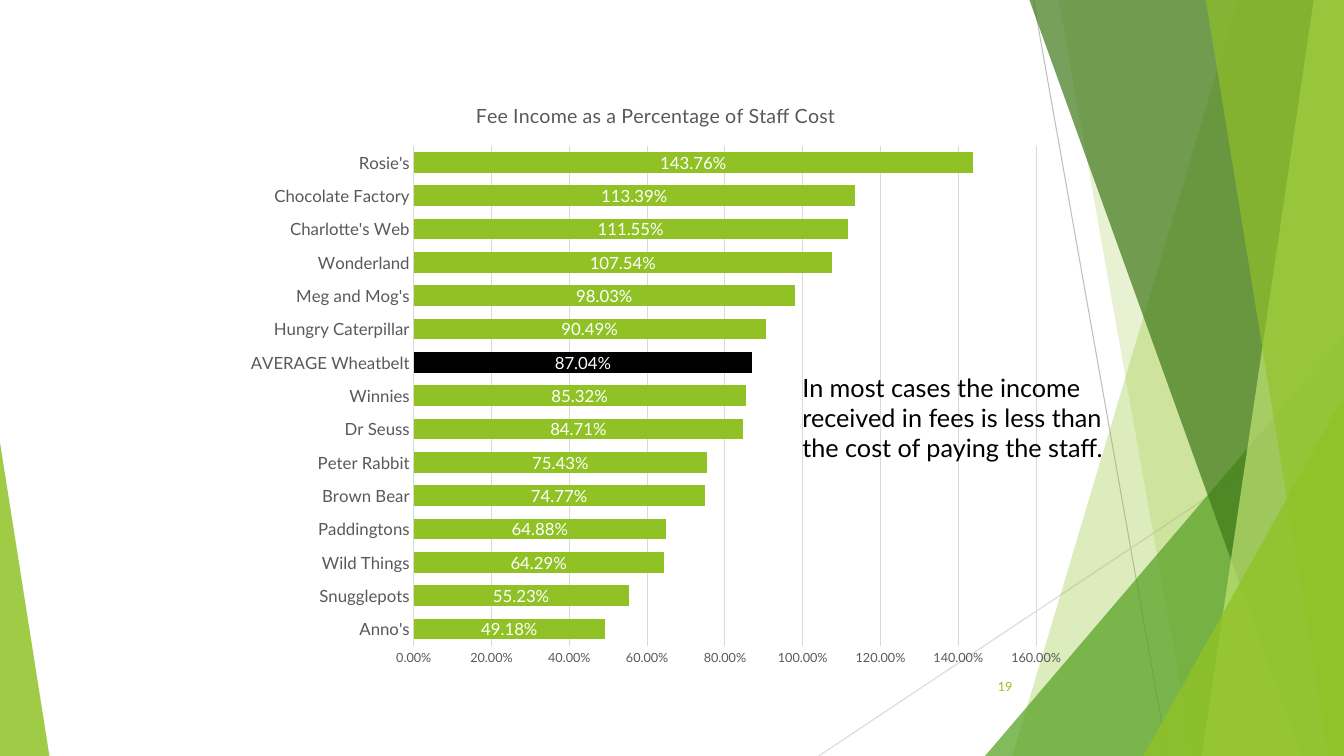
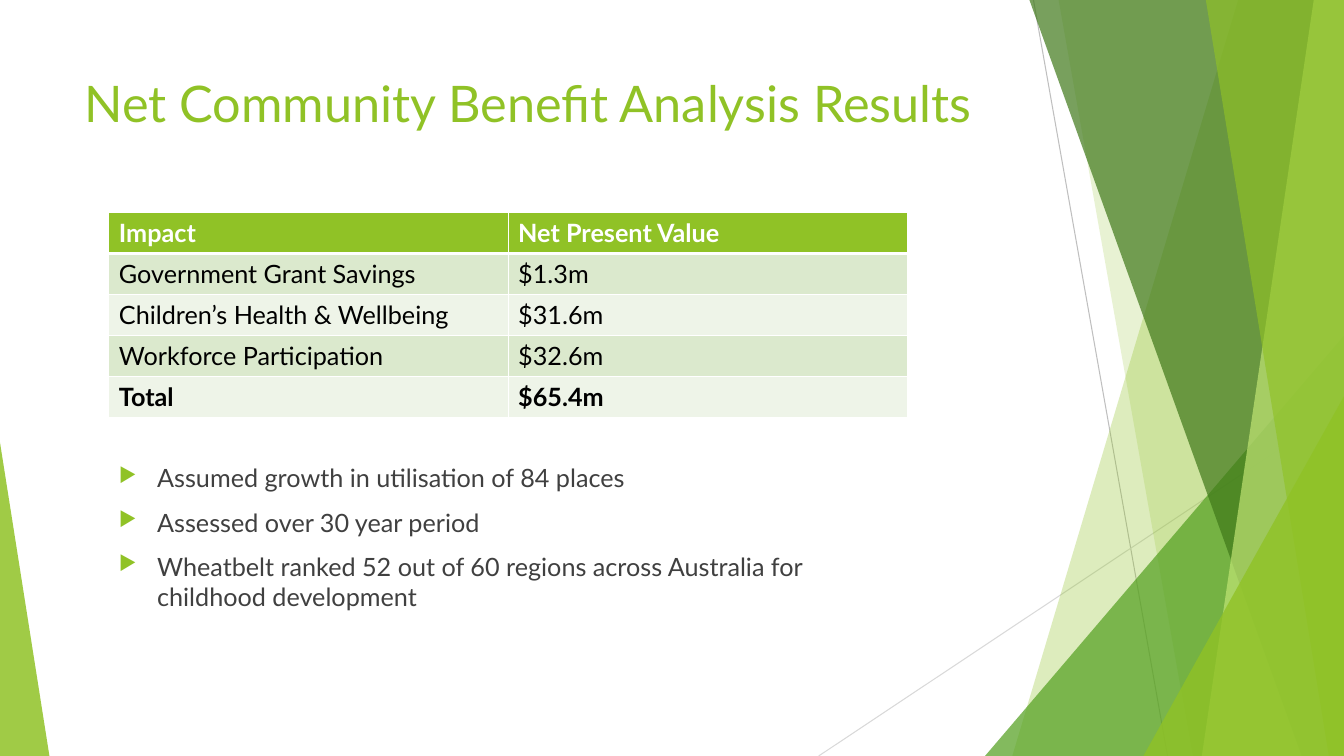
from lxml.etree import SubElement
from pptx import Presentation
from pptx.chart.data import CategoryChartData
from pptx.dml.color import RGBColor
from pptx.enum.chart import XL_CHART_TYPE, XL_LABEL_POSITION, XL_TICK_MARK
from pptx.enum.shapes import MSO_CONNECTOR, MSO_SHAPE
from pptx.enum.text import MSO_ANCHOR, MSO_AUTO_SIZE, PP_ALIGN
from pptx.oxml.ns import qn
from pptx.util import Inches, Pt

# Palette
LIME = RGBColor(0x90, 0xC2, 0x26)
PALE_LIME = RGBColor(0xC0, 0xE4, 0x74)
LEAF = RGBColor(0x54, 0xA0, 0x21)
FOREST = RGBColor(0x3F, 0x78, 0x19)
BAND_DARK = RGBColor(0xDB, 0xE9, 0xCD)
BAND_LIGHT = RGBColor(0xEE, 0xF4, 0xE8)
BLACK = RGBColor(0, 0, 0)
WHITE = RGBColor(0xFF, 0xFF, 0xFF)
BODY_GREY = RGBColor(0x40, 0x40, 0x40)
CHART_GREY = RGBColor(0x59, 0x59, 0x59)
RULE_GREY = RGBColor(0xBF, 0xBF, 0xBF)
GRID_GREY = RGBColor(0xD9, 0xD9, 0xD9)

WIDTH, HEIGHT = 13.33, 7.5
TITLE_ONLY, BLANK = 5, 6

# Backdrop, back to front: top-left x, bottom-left x, colour, opacity
# for bands; box, apex position, colour, opacity for triangles
BACKDROP = [
    ("band", (12.28, 10.04), LIME, 30),
    ("band", (10.5, 11.83), LIME, 20),
    ("triangle", (9.77, 3.33, 3.56, 4.17, 1), LEAF, 72),
    ("band", (10.21, 12.91), FOREST, 70),
    ("band", (13.03, 11.92), PALE_LIME, 70),
    ("band", (11.96, 13.18), LIME, 65),
    ("triangle", (11.34, 3.93, 1.99, 3.57, 1), LIME, 80),
    ("triangle", (0, 4.39, 0.49, 3.11, 0), LIME, 85),
]

FEE_INCOME = {
    "Anno's": 0.4918, "Snugglepots": 0.5523, "Wild Things": 0.6429,
    "Paddingtons": 0.6488, "Brown Bear": 0.7477, "Peter Rabbit": 0.7543,
    "Dr Seuss": 0.8471, "Winnies": 0.8532, "AVERAGE Wheatbelt": 0.8704,
    "Hungry Caterpillar": 0.9049, "Meg and Mog's": 0.9803,
    "Wonderland": 1.0754, "Charlotte's Web": 1.1155,
    "Chocolate Factory": 1.1339, "Rosie's": 1.4376,
}

NET_BENEFITS = [
    ("Impact", "Net Present Value"),
    ("Government Grant Savings", "$1.3m"),
    ("Children’s Health & Wellbeing", "$31.6m"),
    ("Workforce Participation", "$32.6m"),
    ("Total", "$65.4m"),
]

ASSUMPTIONS = [
    "Assumed growth in utilisation of 84 places",
    "Assessed over 30 year period",
    "Wheatbelt ranked 52 out of 60 regions across Australia for "
    "childhood development",
]


def apply(target, values):
    for name, value in values.items():
        setattr(target, name, value)


class Deck:
    FONT = "Lato"

    def __init__(self):
        self.prs = Presentation()
        self.prs.slide_width = Inches(WIDTH)
        self.prs.slide_height = Inches(HEIGHT)
        self.slide = None

    def style(self, font, size, color, bold=False):
        apply(font, {"name": self.FONT, "size": Pt(size), "bold": bold})
        font.color.rgb = color

    def new_slide(self, title=None):
        layout = BLANK if title is None else TITLE_ONLY
        self.slide = self.prs.slides.add_slide(self.prs.slide_layouts[layout])
        self.backdrop()
        if title is not None:
            self.title(title)

    def title(self, text):
        heading = self.slide.shapes.title
        apply(heading, {"left": Inches(0.74), "top": Inches(0.67),
                        "width": Inches(9.4), "height": Inches(1.44)})
        frame = heading.text_frame
        apply(frame, {"text": text, "vertical_anchor": MSO_ANCHOR.TOP,
                      "auto_size": MSO_AUTO_SIZE.NONE, "word_wrap": True})
        frame.paragraphs[0].alignment = PP_ALIGN.LEFT
        self.style(frame.paragraphs[0].runs[0].font, 36, LIME)

    # Backdrop parts
    def backdrop(self):
        self.line((10.25, 0), (11.58, HEIGHT), RULE_GREY)
        self.line((WIDTH, 4.03), (8.12, HEIGHT), GRID_GREY)
        for kind, geometry, color, opacity in BACKDROP:
            draw = self.band if kind == "band" else self.triangle
            self.tint(draw(*geometry), color, opacity)

    def line(self, start, end, color):
        rule = self.slide.shapes.add_connector(
            MSO_CONNECTOR.STRAIGHT, *map(Inches, start + end))
        rule.line.color.rgb = color
        rule.line.width = Pt(0.75)
        SubElement(rule.element.spPr, qn("a:effectLst"))

    def band(self, top_x, bottom_x):
        outline = self.slide.shapes.build_freeform(Inches(top_x), 0)
        corners = [(WIDTH, 0), (WIDTH, HEIGHT), (bottom_x, HEIGHT)]
        outline.add_line_segments(
            [(Inches(x), Inches(y)) for x, y in corners], close=True)
        return outline.convert_to_shape()

    def triangle(self, left, top, width, height, apex):
        wedge = self.slide.shapes.add_shape(
            MSO_SHAPE.ISOSCELES_TRIANGLE,
            *map(Inches, (left, top, width, height)))
        wedge.adjustments[0] = apex
        return wedge

    def tint(self, shape, color, opacity):
        shape.shadow.inherit = False
        shape.line.fill.background()
        shape.fill.solid()
        shape.fill.fore_color.rgb = color
        for node in shape.element.spPr.findall(
                f"{qn('a:solidFill')}/{qn('a:srgbClr')}"):
            SubElement(node, qn("a:alpha"), val=str(opacity * 1000))

    # Content
    def text(self, box, lines, size, color, bullets=False,
             align=PP_ALIGN.LEFT, **frame_format):
        frame = self.slide.shapes.add_textbox(*map(Inches, box)).text_frame
        apply(frame, {"word_wrap": True, **frame_format})
        for index, content in enumerate(lines):
            para = frame.add_paragraph() if index else frame.paragraphs[0]
            para.alignment = align
            run = para.add_run()
            run.text = content
            self.style(run.font, size, color)
            if bullets:
                para.space_before = Pt(10)
                self.bullet(para)

    def bullet(self, para):
        props = para._p.get_or_add_pPr()
        props.set("marL", str(Inches(0.38)))
        props.set("indent", str(-Inches(0.38)))
        tint = SubElement(props, qn("a:buClr"))
        SubElement(tint, qn("a:srgbClr"), val=str(LIME))
        SubElement(props, qn("a:buSzPct"), val="80000")
        SubElement(props, qn("a:buChar"), char="▶")

    def bar_chart(self, box, title, values, highlight):
        data = CategoryChartData(number_format="0.00%")
        data.categories = list(values)
        data.add_series(title, list(values.values()))
        chart = self.slide.shapes.add_chart(
            XL_CHART_TYPE.BAR_CLUSTERED, *map(Inches, box), data).chart
        self.style(chart.font, 10, BLACK)
        chart.has_legend = False
        heading = chart.chart_title.text_frame
        heading.text = title
        self.style(heading.paragraphs[0].runs[0].font, 14, CHART_GREY)

        # Bars and their labels
        plot = chart.plots[0]
        apply(plot, {"gap_width": 63, "overlap": 38,
                     "vary_by_categories": False, "has_data_labels": True})
        series = plot.series[0]
        average = series.points[list(values).index(highlight)]
        for bar, color in ((series, LIME), (average, BLACK)):
            bar.format.fill.solid()
            bar.format.fill.fore_color.rgb = color
        labels = plot.data_labels
        apply(labels, {"show_value": True, "number_format": "0.00%",
                       "number_format_is_linked": False,
                       "position": XL_LABEL_POSITION.CENTER})
        self.style(labels.font, 12, WHITE)

        # Axes
        names, scale = chart.category_axis, chart.value_axis
        for axis, size in ((names, 12), (scale, 9)):
            apply(axis, {"major_tick_mark": XL_TICK_MARK.NONE,
                         "minor_tick_mark": XL_TICK_MARK.NONE})
            self.style(axis.tick_labels.font, size, CHART_GREY)
        apply(scale, {"minimum_scale": 0, "maximum_scale": 1.6,
                      "major_unit": 0.2, "has_major_gridlines": True})
        apply(scale.tick_labels, {"number_format": "0.00%",
                                  "number_format_is_linked": False})
        scale.format.line.fill.background()
        for rule in (names.format.line, scale.major_gridlines.format.line):
            rule.color.rgb = GRID_GREY
            rule.width = Pt(0.75)

    def table(self, box, rows):
        grid = self.slide.shapes.add_table(
            len(rows), len(rows[0]), *map(Inches, box)).table
        for r, row in enumerate(rows):
            is_header = r == 0
            fill = LIME if is_header else BAND_DARK if r % 2 else BAND_LIGHT
            for c, content in enumerate(row):
                cell = grid.cell(r, c)
                cell.text = content
                self.style(cell.text_frame.paragraphs[0].runs[0].font, 18,
                           WHITE if is_header else BLACK,
                           bold=r in (0, len(rows) - 1))
                self.borders(cell, top=3 if r == 1 else 1,
                             bottom=3 if is_header else 1)
                cell.fill.solid()
                cell.fill.fore_color.rgb = fill

    def borders(self, cell, top, bottom):
        props = cell._tc.get_or_add_tcPr()
        for side, width in (("L", 1), ("R", 1), ("T", top), ("B", bottom)):
            edge = SubElement(props, qn(f"a:ln{side}"), w=str(Pt(width)))
            fill = SubElement(edge, qn("a:solidFill"))
            SubElement(fill, qn("a:srgbClr"), val=str(WHITE))


def main():
    deck = Deck()

    # Fee income chart
    deck.new_slide()
    deck.bar_chart((2.32, 0.8, 8.37, 5.92),
                   "Fee Income as a Percentage of Staff Cost",
                   FEE_INCOME, "AVERAGE Wheatbelt")
    deck.text((7.86, 3.64, 3.49, 1.01),
              ["In most cases the income received in fees is less than "
               "the cost of paying the staff."], 18, BLACK,
              auto_size=MSO_AUTO_SIZE.SHAPE_TO_FIT_TEXT)
    deck.text((9.39, 6.61, 0.75, 0.4), ["19"], 9, LIME,
              align=PP_ALIGN.RIGHT, vertical_anchor=MSO_ANCHOR.MIDDLE)

    # Net benefit table and assumptions
    deck.new_slide("Net Community Benefit Analysis Results")
    deck.text((1.08, 4.54, 7.92, 2.07), ASSUMPTIONS, 18, BODY_GREY,
              bullets=True)
    deck.table((1.08, 2.11, 7.92, 2.03), NET_BENEFITS)

    deck.prs.save("out.pptx")


if __name__ == "__main__":
    main()
